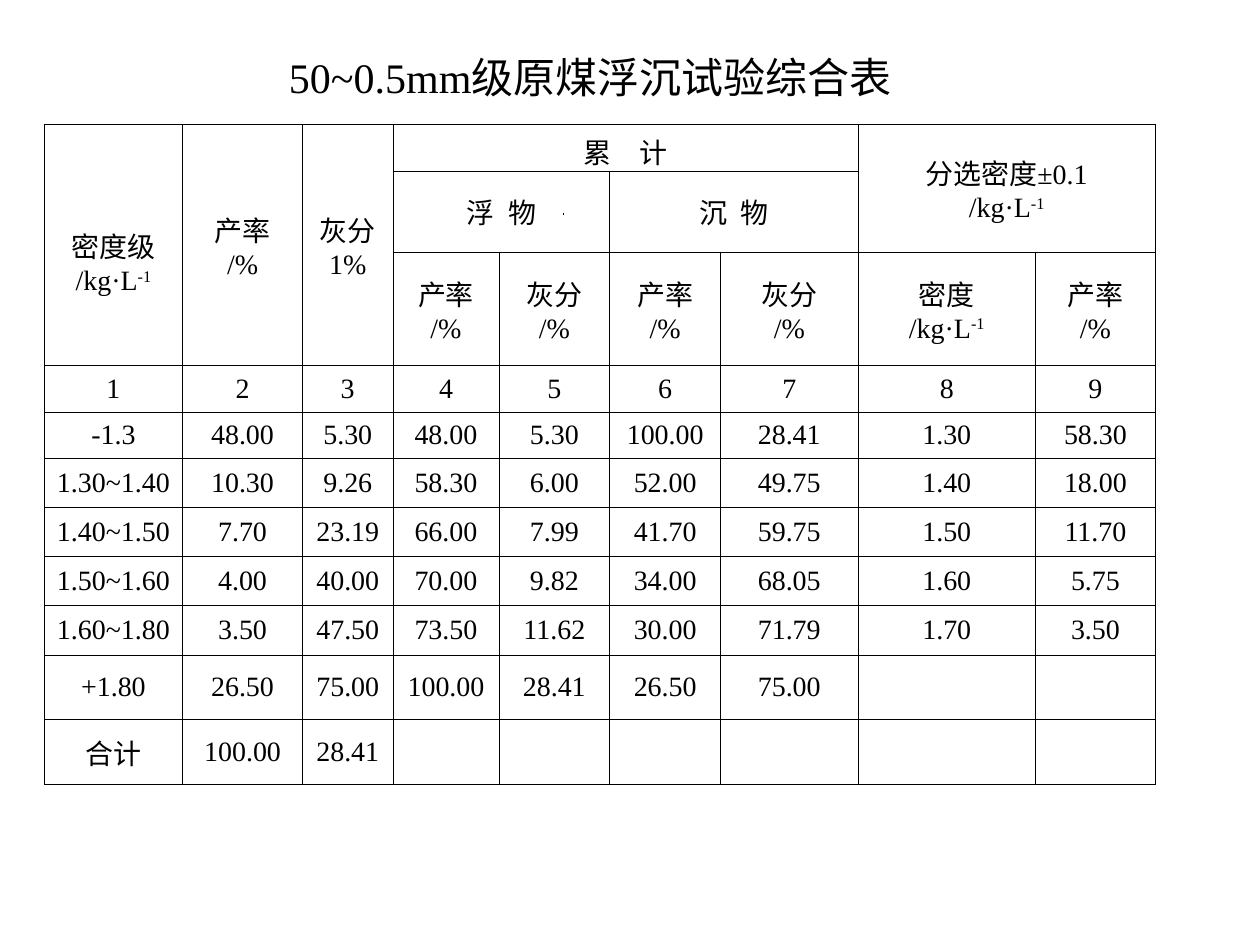
"""Build the float-and-sink test summary table for 50~0.5mm raw coal."""
import dataclasses
import typing

import pptx
import pptx.dml.color
import pptx.enum.shapes
import pptx.enum.text
import pptx.oxml
import pptx.oxml.ns
import pptx.util

COLORS = {"ink": "000000"}
FONT = "Times New Roman"
WIDTH, HEIGHT = pptx.util.Inches(10), pptx.util.Inches(7.5)
COLUMNS = [1.1, 0.95, 0.72, 0.84, 0.88, 0.88, 1.09, 1.41, 0.95]
ROWS = [0.37, 0.64, 0.9, 0.37, 0.37] + [0.39] * 4 + [0.51, 0.52]
FIRST_DATA_ROW = 3
BODY_SIZE = 16


class Run(typing.NamedTuple):
    text: str
    size: float = BODY_SIZE
    raised: bool = False
    spacing: float = 0


Line = tuple[Run, ...]


@dataclasses.dataclass
class Header:
    row: int
    col: int
    lines: list[Line]
    rows: int = 1
    cols: int = 1
    drop: float = 0


def line(text: str) -> Line:
    return (Run(text),)


def spaced(left: str, right: str, spacing: float) -> Line:
    return Run(left), Run(" ", spacing=spacing), Run(right)


UNIT = (Run("/kg·L"), Run("-1", raised=True))
YIELD = [line("产率"), line("/%")]
ASH = [line("灰分"), line("/%")]

HEADERS = [
    Header(0, 0, [line("密度级"), UNIT], rows=3, drop=0.25),
    Header(0, 1, YIELD, rows=3),
    Header(0, 2, [line("灰分"), line("1%")], rows=3),
    Header(0, 3, [spaced("累", "计", 12)], cols=4),
    Header(0, 7, [line("分选密度±0.1"), UNIT], rows=2, cols=2),
    Header(1, 3, [spaced("浮", "物", 4)], cols=2),
    Header(1, 5, [spaced("沉", "物", 4)], cols=2),
    Header(2, 3, YIELD),
    Header(2, 4, ASH),
    Header(2, 5, YIELD),
    Header(2, 6, ASH),
    Header(2, 7, [line("密度"), UNIT]),
    Header(2, 8, YIELD),
]

DATA = [
    ["1", "2", "3", "4", "5", "6", "7", "8", "9"],
    ["-1.3", "48.00", "5.30", "48.00", "5.30", "100.00", "28.41", "1.30", "58.30"],
    ["1.30~1.40", "10.30", "9.26", "58.30", "6.00", "52.00", "49.75", "1.40", "18.00"],
    ["1.40~1.50", "7.70", "23.19", "66.00", "7.99", "41.70", "59.75", "1.50", "11.70"],
    ["1.50~1.60", "4.00", "40.00", "70.00", "9.82", "34.00", "68.05", "1.60", "5.75"],
    ["1.60~1.80", "3.50", "47.50", "73.50", "11.62", "30.00", "71.79", "1.70", "3.50"],
    ["+1.80", "26.50", "75.00", "100.00", "28.41", "26.50", "75.00"],
    ["合计", "100.00", "28.41"],
]


def x(share: float) -> int:
    return round(WIDTH * share / 100)


def y(share: float) -> int:
    return round(HEIGHT * share / 100)


def ink() -> pptx.dml.color.RGBColor:
    return pptx.dml.color.RGBColor.from_string(COLORS["ink"])


def add_runs(p, runs: Line) -> None:
    for run in runs:
        r = p.add_run()
        r.text = run.text
        r.font.name = FONT
        r.font.size = pptx.util.Pt(run.size)
        r.font.color.rgb = ink()
        props = r._r.get_or_add_rPr()
        if run.raised:
            props.set("baseline", "30000")
        if run.spacing:
            props.set("spc", str(round(run.spacing * 100)))


def fill_cell(cell, lines: list[Line]) -> None:
    tf = cell.text_frame
    for i, runs in enumerate(lines):
        p = tf.add_paragraph() if i else tf.paragraphs[0]
        p.alignment = pptx.enum.text.PP_ALIGN.CENTER
        add_runs(p, runs)


def style_cell(cell) -> None:
    cell.vertical_anchor = pptx.enum.text.MSO_ANCHOR.MIDDLE
    tc_pr = cell._tc.get_or_add_tcPr()
    for side in ("lnL", "lnR", "lnT", "lnB"):
        tc_pr.append(pptx.oxml.parse_xml(
            f'<a:{side} {pptx.oxml.ns.nsdecls("a")} w="{pptx.util.Pt(0.45)}">'
            f'<a:solidFill><a:srgbClr val="{COLORS["ink"]}"/></a:solidFill></a:{side}>'))
    cell.fill.background()


def add_title(s) -> None:
    sp = s.shapes.add_textbox(x(21.6), y(4.8), x(52.5), y(6.67))
    tf = sp.text_frame
    tf.word_wrap = True
    tf.vertical_anchor = pptx.enum.text.MSO_ANCHOR.MIDDLE
    add_runs(tf.paragraphs[0], (Run(" ", 10), Run("50~0.5mm级原煤浮沉试验综合表", 24)))


def add_dot(s) -> None:
    left, top = x(44.7), y(22.67)
    dot = s.shapes.add_connector(
        pptx.enum.shapes.MSO_CONNECTOR.STRAIGHT, left, top, left + x(0.1), top)
    dot.line.color.rgb = ink()
    dot.line.width = pptx.util.Pt(1)
    dot._element.spPr.append(
        pptx.oxml.parse_xml(f'<a:effectLst {pptx.oxml.ns.nsdecls("a")}/>'))


def add_results(s) -> None:
    frame = s.shapes.add_table(len(ROWS), len(COLUMNS), x(3.5), y(13.2),
                               pptx.util.Inches(sum(COLUMNS)), pptx.util.Inches(sum(ROWS)))
    table = frame.table
    table.first_row = table.horz_banding = False
    for column, width in zip(table.columns, COLUMNS):
        column.width = pptx.util.Inches(width)
    for row, height in zip(table.rows, ROWS):
        row.height = pptx.util.Inches(height)
    for cell in table.iter_cells():
        style_cell(cell)
    for h in HEADERS:
        cell = table.cell(h.row, h.col)
        if h.rows * h.cols > 1:
            cell.merge(table.cell(h.row + h.rows - 1, h.col + h.cols - 1))
        cell.margin_top = pptx.util.Inches(0.05 + h.drop)
        fill_cell(cell, h.lines)
    for i, values in enumerate(DATA, FIRST_DATA_ROW):
        for j, value in enumerate(values):
            fill_cell(table.cell(i, j), [line(value)])


def main() -> None:
    prs = pptx.Presentation()
    prs.slide_width, prs.slide_height = WIDTH, HEIGHT
    s = prs.slides.add_slide(prs.slide_layouts[6])
    add_title(s)
    add_dot(s)
    add_results(s)
    prs.save("out.pptx")


if __name__ == "__main__":
    main()
